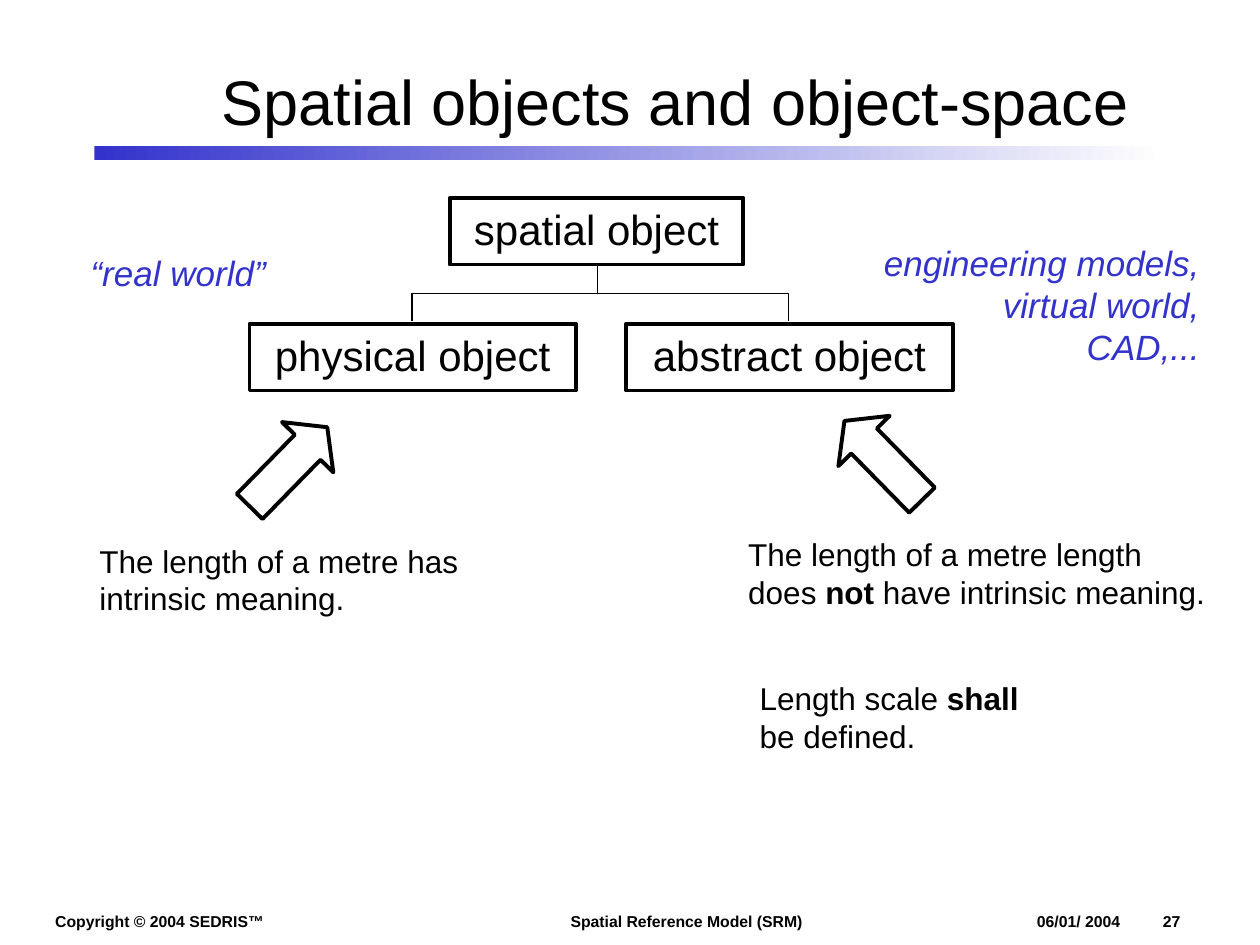
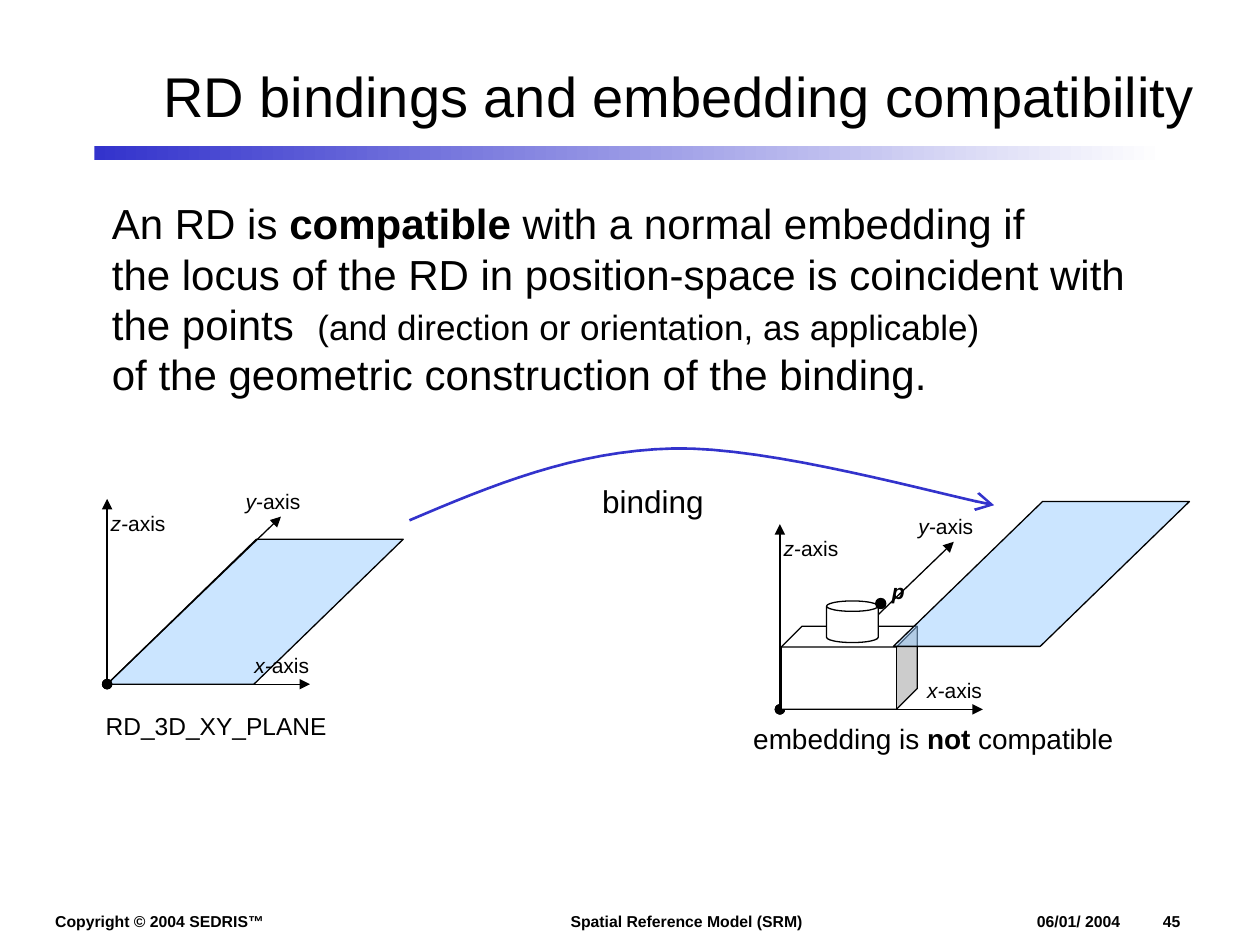
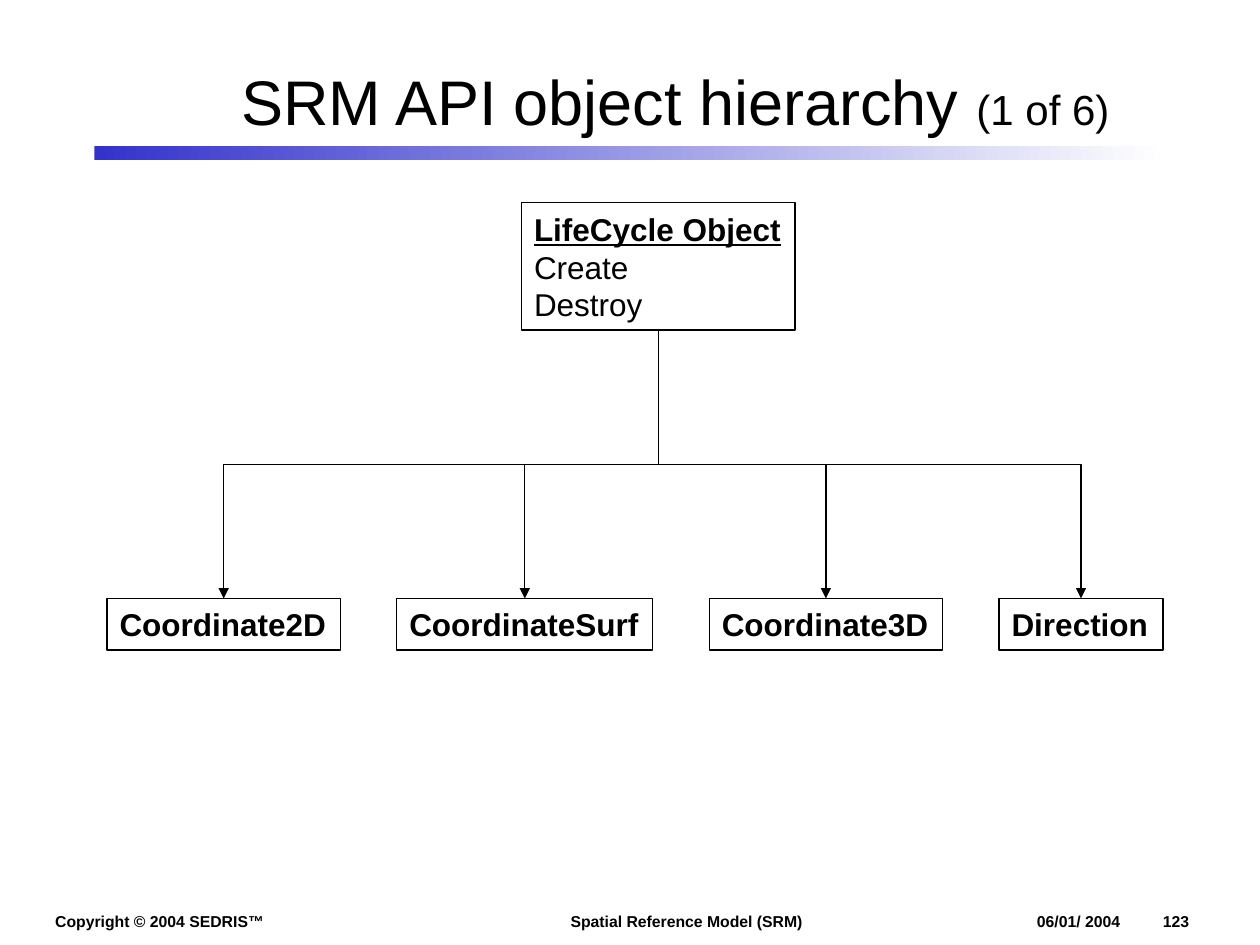
import pptx
import pptx.dml.color
import pptx.enum.shapes
import pptx.enum.text
import pptx.oxml.ns
import pptx.util
from lxml import etree

FONT = "Arial"
INK, BLUE, PALE, WHITE = "000000", "3333CC", "99CCFF", "FFFFFF"
CELL = 0.1
COLS, ROWS = 100, 75
KIND = pptx.enum.shapes.MSO_SHAPE
LINK = pptx.enum.shapes.MSO_CONNECTOR
ALIGN = pptx.enum.text.PP_ALIGN
MIDDLE = pptx.enum.text.MSO_ANCHOR.MIDDLE
TOP = pptx.enum.text.MSO_ANCHOR.TOP
BOLD, SLANT = {"bold": True}, {"italic": True}


def grid(*cells):
    """Turn grid cells into slide lengths."""
    return [pptx.util.Inches(cell * CELL) for cell in cells]


def shift(box, left, top, wide=0, high=0):
    """Give a box placed relative to the corner of another."""
    return box[0] + left, box[1] + top, wide, high


def tint(code):
    """Turn a hex string into a colour."""
    return pptx.dml.color.RGBColor.from_string(code)


def add(parent, tag, **attrs):
    """Append a drawing element with attributes."""
    return etree.SubElement(parent, pptx.oxml.ns.qn(tag), attrs)


def style(run, size, color=INK):
    """Set a run's font, size and colour."""
    run.font.name = FONT
    run.font.size = pptx.util.Pt(size)
    run.font.color.rgb = tint(color)


def write(shape, text, size, color=INK, align=ALIGN.LEFT, anchor=TOP,
          wrap=False, mark=BOLD):
    """Write lines of text, with the parts between stars marked."""
    frame = shape.text_frame
    frame.text = text.replace("*", "")
    frame.word_wrap = wrap
    frame.vertical_anchor = anchor
    for para, line in zip(frame.paragraphs, text.split("\n")):
        para.text = ""
        para.alignment = align
        for turn, part in enumerate(line.split("*")):
            if not part:
                continue
            run = para.add_run()
            run.text = part
            style(run, size, color)
            for name, value in (mark if turn % 2 else {}).items():
                setattr(run.font, name, value)


def label(slide, box, text, size, **looks):
    """Add a text box."""
    shape = slide.shapes.add_textbox(*grid(*box))
    write(shape, text, size, **looks)
    return shape


def stroke(line, color=INK, width=0.75, head=None, tail=None, tip="med"):
    """Set a line's colour, width and ends."""
    line.color.rgb = tint(color)
    line.width = pptx.util.Pt(width)
    pen = line._get_or_add_ln()
    for tag, end in (("a:headEnd", head), ("a:tailEnd", tail)):
        if end:
            add(pen, tag, type=end, w=tip, len=tip)


def solid(slide, kind, box, fill=WHITE, width=0.75, adjust=()):
    """Add an outlined preset shape."""
    shape = slide.shapes.add_shape(kind, *grid(*box))
    shape.shadow.inherit = False
    shape.fill.solid()
    shape.fill.fore_color.rgb = tint(fill)
    stroke(shape.line, width=width)
    for index, value in enumerate(adjust):
        shape.adjustments[index] = value
    return shape


def link(slide, kind, start, end, **ends):
    """Add a connector without a shadow."""
    wire = slide.shapes.add_connector(kind, *grid(*start, *end))
    stroke(wire.line, **ends)
    add(wire._element.spPr, "a:effectLst")
    return wire


def branch(slide, start, end, **ends):
    """Add an elbow that leaves and arrives upright."""
    (left, top), (right, base) = start, end
    midx, midy = (left + right) / 2, (top + base) / 2
    long, wide = (base - top) / 2, abs(right - left) / 2
    wire = link(slide, LINK.ELBOW, (midx - long, midy - wide),
                (midx + long, midy + wide), **ends)
    frame = wire._element.spPr.xfrm
    frame.set("rot", "16200000" if right > left else "5400000")
    if right > left:
        frame.set("flipH", "1")


def footer(slide, box, number):
    """Place the three footer texts in their band."""
    notes = (("Copyright © 2004 SEDRIS™", 3.4, 18.6),
             ("Spatial Reference Model (SRM)", 44.3, 20.4))
    for text, left, wide in notes:
        label(slide, shift(box, left, 0, wide, 2.5), f"*{text}*", 9)
    date = label(slide, shift(box, 82.3, 0.5, 14.4, 1.5),
                 f"*06/01/ 2004\t{number}*", 9, wrap=True)
    frame = date.text_frame
    frame.margin_left = frame.margin_right = 0
    frame.margin_top = frame.margin_bottom = 0
    stops = add(frame.paragraphs[0]._p.get_or_add_pPr(), "a:tabLst")
    add(stops, "a:tab", pos=str(pptx.util.Inches(1)), algn="l")


def base(deck, title, number, box=(12.1, 2.5, 83, 10.9), size=36):
    """Add a slide with title, fading band and footer."""
    slide = deck.slides.add_slide(deck.slide_layouts[6])
    band = solid(slide, KIND.RECTANGLE, (7.5, 11.6, 85, 1.1))
    band.line.fill.background()
    band.fill.gradient()
    band.fill.gradient_angle = 0
    for stop, place, color in zip(band.fill.gradient_stops, (0, 1),
                                  (BLUE, WHITE)):
        stop.position = place
        stop.color.rgb = tint(color)
    label(slide, box, title, size, align=ALIGN.CENTER, anchor=MIDDLE,
          wrap=True, mark={"size": pptx.util.Pt(24)})
    footer(slide, (0, 71.9, COLS, 3.1), number)
    return slide


def tree(slide, box):
    """Draw the spatial object and its two kinds."""
    nodes = (("spatial object", 15.9, 0, 23.3),
             ("physical object", 0, 10, 25.9),
             ("abstract object", 29.9, 10, 25.9))
    for text, left, top, wide in nodes:
        node = solid(slide, KIND.RECTANGLE,
                     shift(box, left, top, wide, 5.3), width=2.25)
        write(node, text, 24, align=ALIGN.CENTER, anchor=TOP, wrap=True)
    root = shift(box, 27.6, 5.4)[:2]
    for left in (12.9, 42.8):
        branch(slide, root, shift(box, left, 9.8)[:2])


def meaning(slide, box, text, arrow, turn):
    """Place a remark with a block arrow above it."""
    label(slide, box, text, 18)
    block = solid(slide, KIND.RIGHT_ARROW, shift(box, arrow, -8.3, 8.8, 5.7),
                  width=2.25, adjust=(0.5, 0.39))
    block.rotation = turn


def spatial(deck):
    """Build the slide on spatial objects."""
    slide = base(deck, "Spatial objects and object-space", 27)
    tree(slide, (19.8, 15.7, 55.8, 15.3))
    meaning(slide, (6.9, 42.5, 31.2, 7),
            "The length of a metre has\nintrinsic meaning.", 11.6, 314.4)
    meaning(slide, (58.4, 42, 38.3, 7),
            "The length of a metre length\n"
            "does *not* have intrinsic meaning.", 7.3, 225.6)
    label(slide, (6.2, 19.5, 15.9, 4.3), "*“real world”*", 20,
          color=BLUE, mark=SLANT)
    label(slide, (66.2, 18.7, 30, 11),
          "*engineering models,*\n*virtual world,*\n*CAD,...*", 20,
          color=BLUE, align=ALIGN.RIGHT, wrap=True, mark=SLANT)
    label(slide, (59.3, 53.4, 24, 7), "Length scale *shall*\nbe defined.", 18)


def axes(slide, box):
    """Draw three named axes from one origin."""
    tips = (("z", (0, 0), (-0.7, 0.4)),
            ("x", (16.1, 14.7), (10.7, 11.7)),
            ("y", (13.8, 1.4), (10, -1.3)))
    start = shift(box, 0, 14.7)[:2]
    for name, tip, spot in tips:
        link(slide, LINK.STRAIGHT, start, shift(box, *tip)[:2],
             head="oval", tail="triangle")
        label(slide, shift(box, *spot, 7.1, 3.2), f"*{name}-*axis", 12,
              wrap=True, mark=SLANT)


def plane(slide, box):
    """Draw a half-clear slanted plane."""
    sheet = solid(slide, KIND.PARALLELOGRAM, box, PALE, adjust=(1.03,))
    color = sheet._element.spPr.find(".//" + pptx.oxml.ns.qn("a:srgbClr"))
    add(color, "a:alpha", val="50000")


def model(slide, box):
    """Draw the block, its drum and the point on it."""
    solid(slide, KIND.CUBE, shift(box, 0, 2.2, 10.8, 6.6), adjust=(0.25,))
    solid(slide, KIND.CAN, shift(box, 3.6, 0.2, 4.1, 3.3), adjust=(0.25,))
    solid(slide, KIND.OVAL, shift(box, 7.5, 0, 0.8, 0.8), INK)
    label(slide, shift(box, 7.8, -2.1, 3.4, 3.2), "*p*", 12, wrap=True,
          mark=BOLD | SLANT)


def bend(knots, steps=16):
    """Give the points along one cubic curve."""
    for step in range(1, steps + 1):
        far = step / steps
        near = 1 - far
        parts = (near ** 3, 3 * near ** 2 * far, 3 * near * far ** 2, far ** 3)
        yield tuple(sum(part * knot[axis] for part, knot in zip(parts, knots))
                    for axis in (0, 1))


def sweep(slide, box):
    """Draw the curved binding arrow and its name."""
    knots = [shift(box, *knot)[:2] for knot in (
        (0, 5.9), (6.6, 3.1), (13.1, 0.4), (20.9, 0.2),
        (28.6, 0), (42.2, 3.9), (46.4, 4.7))]
    points = [*bend(knots[:4]), *bend(knots[3:])]
    maker = slide.shapes.build_freeform(*grid(*knots[0]))
    maker.add_line_segments([grid(*point) for point in points], close=False)
    curve = maker.convert_to_shape()
    curve.shadow.inherit = False
    curve.fill.background()
    stroke(curve.line, BLUE, 1.5, tail="arrow", tip="lg")
    label(slide, shift(box, 14.3, 2.4, 10.3, 4), "binding", 18)


def binding(deck):
    """Build the slide on bindings."""
    slide = base(deck, "RD bindings and embedding compatibility", 45,
                 (11.4, 3.8, 85, 7.5), 32)
    axes(slide, (61.9, 41.6, 16.1, 14.7))
    model(slide, (62, 47.5, 10.8, 8.8))
    label(slide, (58.8, 56.8, 31.3, 4.7), "embedding is *not* compatible",
          16, wrap=True)
    plane(slide, (8.5, 42.8, 23.5, 11.5))
    body = label(slide, (7.9, 15.2, 83.4, 17),
                 "An RD is *compatible* with a normal embedding if\n"
                 "the locus of the RD in position-space is coincident with\n"
                 "the points  *(and direction or orientation, as applicable)*\n"
                 "of the geometric construction of the binding.", 24)
    aside = body.text_frame.paragraphs[2].runs[1]
    style(aside, 20)
    aside.font.bold = False
    axes(slide, (8.5, 39.6, 16.1, 14.7))
    plane(slide, (70.9, 39.8, 23.5, 11.5))
    sweep(slide, (32.5, 35.4, 46.4, 5.9))
    label(slide, (7.4, 55.9, 24, 3.3), "RD_3D_XY_PLANE", 14, wrap=True)


def family(slide, box, gap=4.5):
    """Draw the parent class and its row of children."""
    parent = solid(slide, KIND.RECTANGLE, shift(box, 32.9, 0, 21.7, 10.1))
    write(parent, "*LifeCycle Object*\nCreate\nDestroy", 18, anchor=MIDDLE,
          mark=BOLD | {"underline": True})
    root = shift(box, 43.75, 10.1)[:2]
    left = 0
    for name, wide in (("Coordinate2D", 18.5), ("CoordinateSurf", 20.3),
                       ("Coordinate3D", 18.5), ("Direction", 13)):
        child = solid(slide, KIND.RECTANGLE, shift(box, left, 31.4, wide, 4.1))
        write(child, f"*{name}*", 18, anchor=MIDDLE)
        branch(slide, root, shift(box, left + wide / 2, 31.4)[:2],
               tail="triangle")
        left += wide + gap


def classes(deck):
    """Build the slide on the class hierarchy."""
    slide = base(deck, "SRM API object hierarchy *(1 of 6)*", 123)
    family(slide, (8.5, 16.1, 83.8, 35.5))


def main():
    """Build and save the deck."""
    deck = pptx.Presentation()
    deck.slide_width, deck.slide_height = grid(COLS, ROWS)
    spatial(deck)
    binding(deck)
    classes(deck)
    deck.save("out.pptx")


if __name__ == "__main__":
    main()
